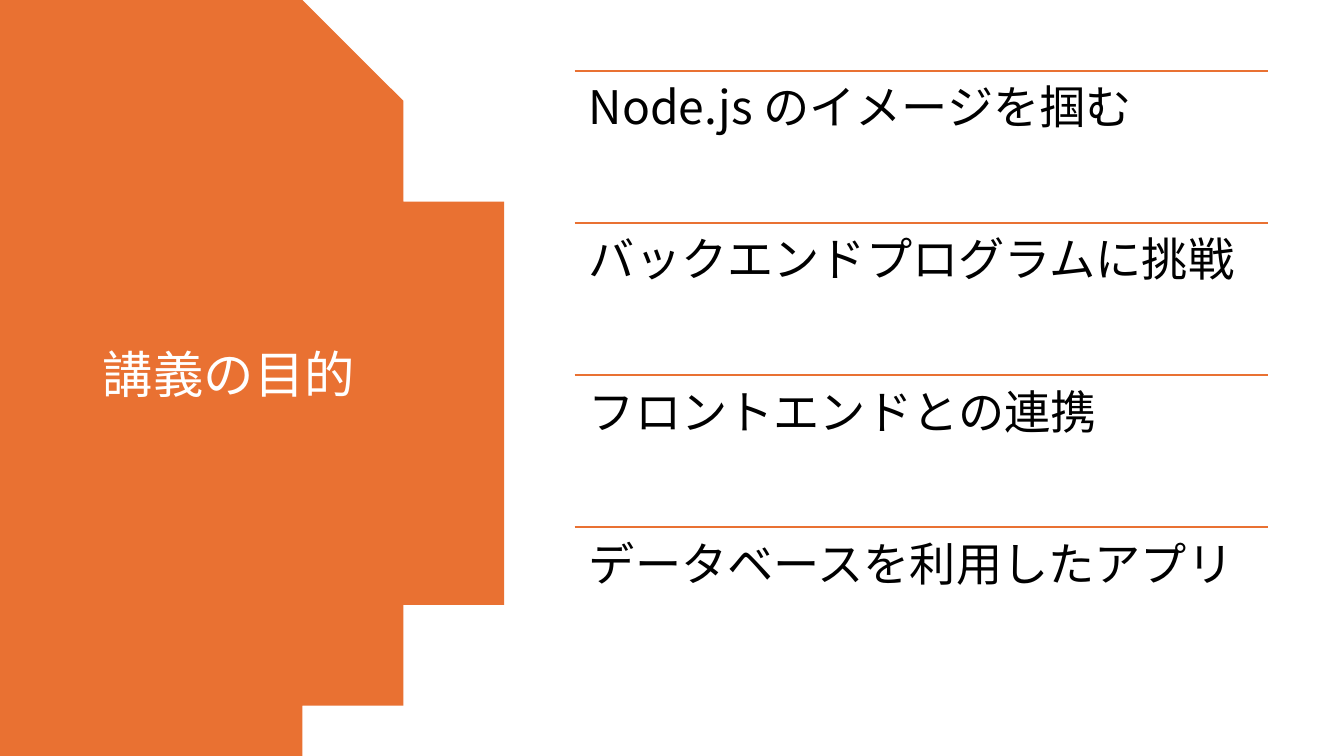
import math

from lxml import etree
from pptx import Presentation
from pptx import util as u
from pptx.dml.color import RGBColor
from pptx.enum import shapes, text
from pptx.oxml import ns

WIDTH, HEIGHT = 13.33, 7.5
COLORS = {"accent": "E97132", "title": "FFFFFF", "body": "000000"}
FONT = "Noto Sans CJK JP"
GOALS = [
    "Node.js のイメージを掴む",
    "バックエンドプログラムに挑戦",
    "フロントエンドとの連携",
    "データベースを利用したアプリ",
]

# List grid: one column, equal rows
LIST_LEFT, LIST_TOP, LIST_WIDTH, ROW = 5.7, 0.7, 6.88, 1.51


def color(name):
    return RGBColor.from_string(COLORS[name])


def write(frame, words, *, size, ink, anchor, inset=None, after=0):
    """Fill a text frame with one formatted paragraph."""
    frame.word_wrap = True
    frame.auto_size = text.MSO_AUTO_SIZE.NONE
    frame.vertical_anchor = anchor
    if inset is not None:
        frame.margin_left = frame.margin_right = u.Inches(inset)
        frame.margin_top = frame.margin_bottom = u.Inches(inset)
    para = frame.paragraphs[0]
    para.alignment = text.PP_ALIGN.LEFT
    para.line_spacing = 0.9
    para.space_after = u.Pt(after)
    span = para.add_run()
    span.text = words
    span.font.size = u.Pt(size)
    span.font.name = FONT
    span.font.color.rgb = color(ink)
    east_asian = etree.SubElement(span.font._element, ns.qn("a:ea"))
    east_asian.set("typeface", FONT)


class GoalSlide:
    def __init__(self, deck):
        self.page = deck.slides.add_slide(deck.slide_layouts[5])

    def half_disc(self, center_x, radius, steps=120):
        """Panel from the left edge, closed by an arc cut at the slide's top and bottom."""
        middle = HEIGHT / 2
        reach = math.asin(middle / radius)
        angles = [reach * (2 * step / steps - 1) for step in range(steps + 1)]
        arc = [(center_x + radius * math.cos(a), middle + radius * math.sin(a))
               for a in angles]
        builder = self.page.shapes.build_freeform(0, 0, scale=u.Inches(1))
        builder.add_line_segments(arc + [(0, HEIGHT)], close=True)
        panel = builder.convert_to_shape()
        panel.shadow.inherit = False
        panel.fill.solid()
        panel.fill.fore_color.rgb = color("accent")
        panel.line.fill.background()
        # Keep the panel behind the title
        tree = self.page.shapes._spTree
        tree.remove(panel._element)
        tree.insert(2, panel._element)

    def title(self, words, left, top, width, height):
        holder = self.page.shapes.title
        holder.left, holder.top = u.Inches(left), u.Inches(top)
        holder.width, holder.height = u.Inches(width), u.Inches(height)
        write(holder.text_frame, words, size=36, ink="title",
              anchor=text.MSO_ANCHOR.MIDDLE)

    def rule(self, top):
        line = self.page.shapes.add_connector(
            shapes.MSO_CONNECTOR.STRAIGHT, u.Inches(LIST_LEFT), u.Inches(top),
            u.Inches(LIST_LEFT + LIST_WIDTH), u.Inches(top))
        line.line.color.rgb = color("accent")
        line.line.width = u.Pt(1.5)
        etree.SubElement(line._element.spPr, ns.qn("a:effectLst"))

    def goal(self, row, words):
        top = LIST_TOP + row * ROW
        self.rule(top)
        box = self.page.shapes.add_textbox(
            u.Inches(LIST_LEFT), u.Inches(top), u.Inches(LIST_WIDTH), u.Inches(ROW))
        write(box.text_frame, words, size=33, ink="body",
              anchor=text.MSO_ANCHOR.TOP, inset=0.14, after=12)


def main():
    deck = Presentation()
    deck.slide_width, deck.slide_height = u.Inches(WIDTH), u.Inches(HEIGHT)
    slide = GoalSlide(deck)

    # Left panel with title
    slide.half_disc(center_x=0.53, radius=4.4)
    slide.title("講義の目的", 0.92, 0.7, 3.23, 6.09)

    # Ruled list of goals
    for row, words in enumerate(GOALS):
        slide.goal(row, words)

    deck.save("out.pptx")


if __name__ == "__main__":
    main()
